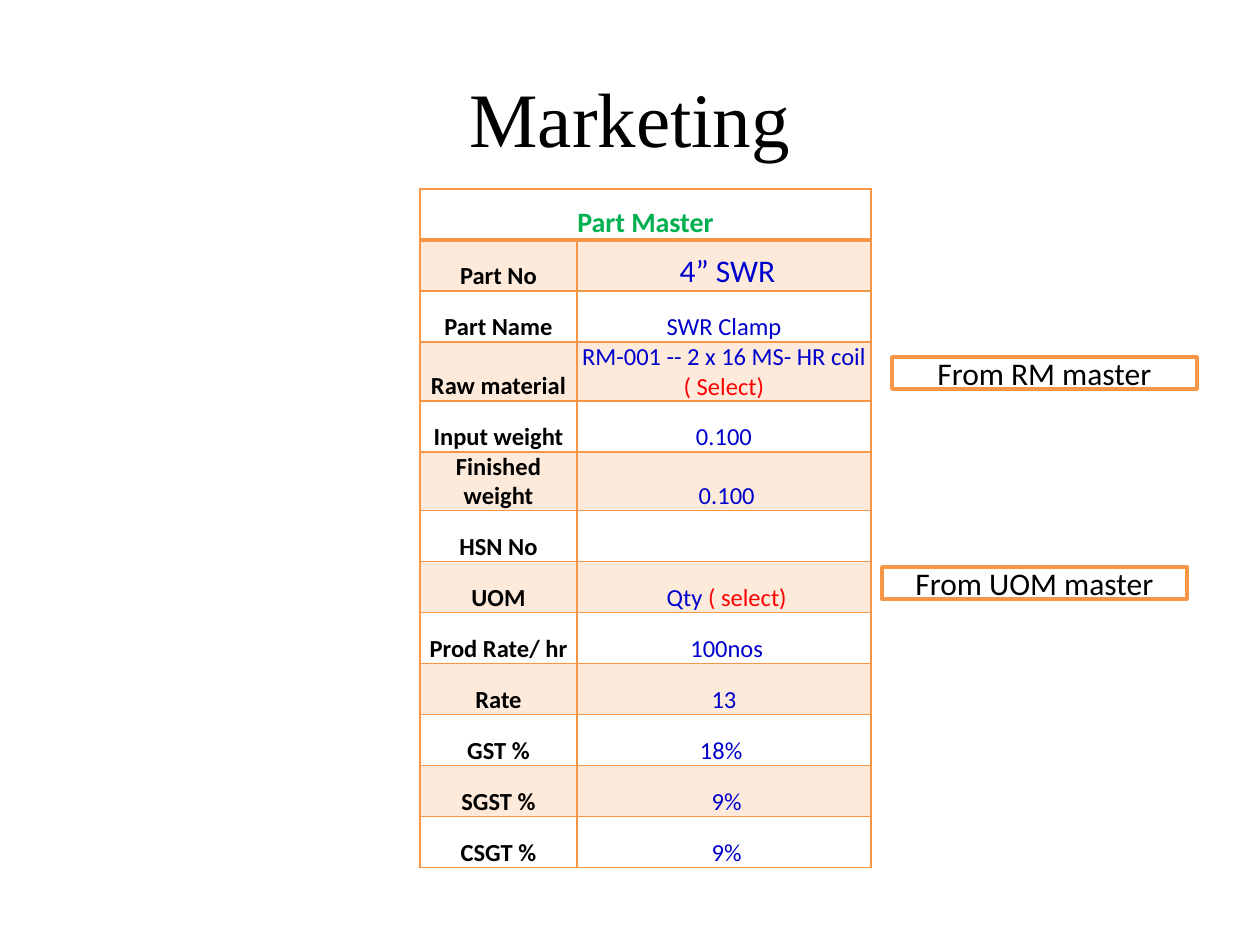
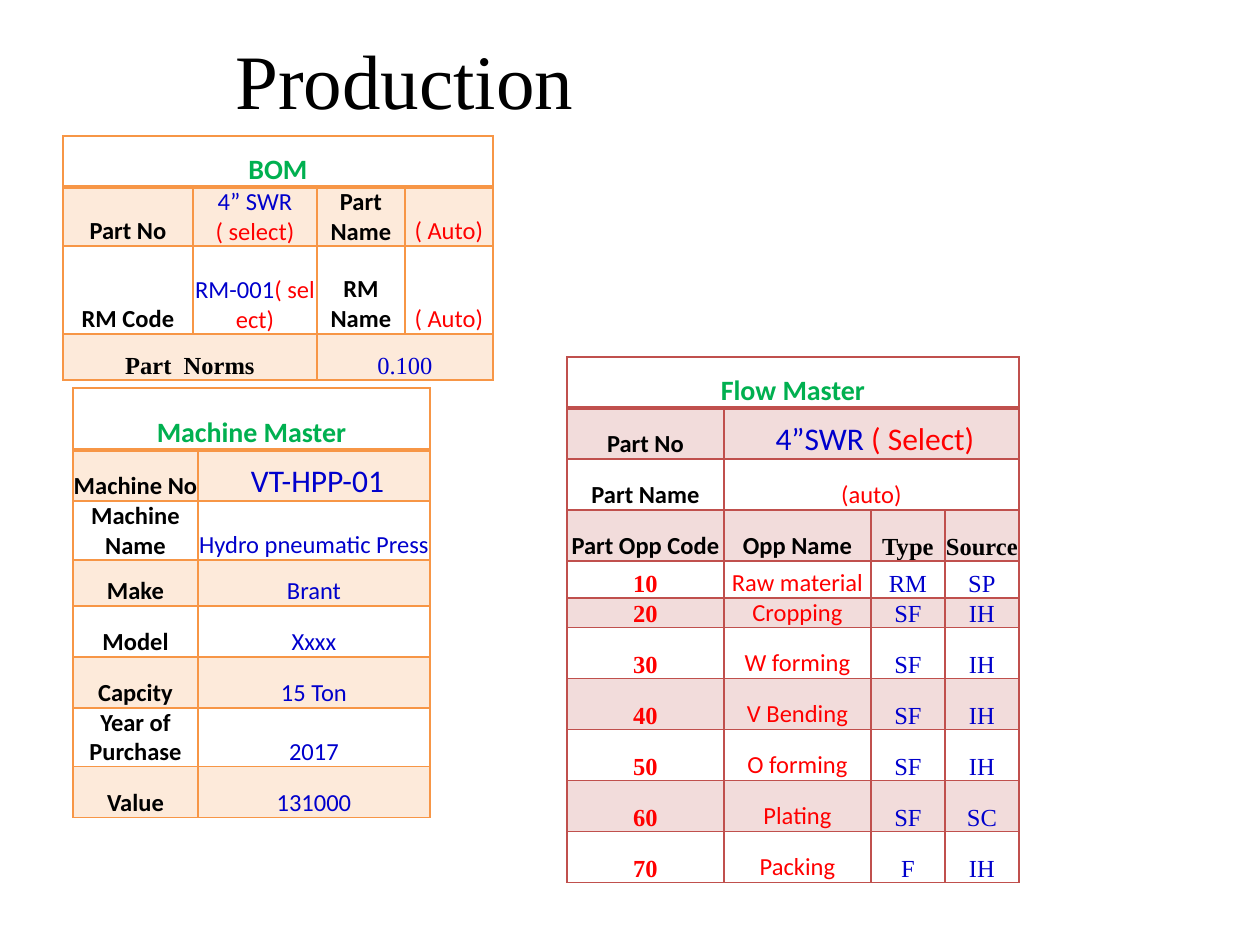
"""Builds the marketing and production master-data slides."""
from dataclasses import dataclass

from lxml import etree
from pptx import Presentation
from pptx.dml.color import RGBColor
from pptx.enum.shapes import MSO_SHAPE
from pptx.enum.text import MSO_ANCHOR, PP_ALIGN
from pptx.oxml.ns import qn
from pptx.util import Emu, Pt

CENTER = PP_ALIGN.CENTER
MIDDLE = MSO_ANCHOR.MIDDLE
BOTTOM = MSO_ANCHOR.BOTTOM
RECT = MSO_SHAPE.RECTANGLE

PX_PER_INCH = 126
ROW = 51
SHORT_ROW = 46


@dataclass(frozen=True)
class Style:
    """Look of one run of text."""
    size: int
    color: str
    bold: bool = False
    font: str = "Calibri"


@dataclass(frozen=True)
class Palette:
    """Border and band colours of a table."""
    line: str
    band: str


class Theme:
    """Colours and type sizes of the deck."""
    black, white, blue, red, green = "000000", "FFFFFF", "0000CC", "FF0000", "00B050"
    serif = "Times New Roman"
    orange = Palette("F79646", "FDEADA")
    maroon = Palette("C0504D", "F2DCDB")
    title = Style(44, black, font=serif)
    callout = Style(18, black)
    header = Style(16, green, True)
    label = Style(14, black, True)
    value = Style(14, blue)
    pick = Style(14, red)
    big_value = Style(18, blue)
    big_pick = Style(18, red)
    serif_label = Style(14, black, True, serif)
    serif_value = Style(14, blue, font=serif)
    step = Style(14, red, True, serif)


def px(n):
    """Turn pixels into EMU."""
    return Emu(round(n * 914400 / PX_PER_INCH))


def rgb(color):
    """Turn a hex string into a colour."""
    return RGBColor.from_string(color)


def write(tf, runs, anchor):
    """Write centred runs, given as (text, style), into a text frame."""
    tf.word_wrap = True
    tf.vertical_anchor = anchor
    p = tf.paragraphs[0]
    p.alignment = CENTER
    for text, style in runs:
        r = p.add_run()
        r.text = text
        r.font.name = style.font
        r.font.size = Pt(style.size)
        r.font.bold = style.bold
        r.font.color.rgb = rgb(style.color)


def add_title(s, text, x, y, w, h):
    """Add a slide title."""
    sp = s.shapes.add_textbox(px(x), px(y), px(w), px(h))
    write(sp.text_frame, [(text, Theme.title)], MIDDLE)


def add_callout(s, text, x, y):
    """Add an outlined note beside a table."""
    sp = s.shapes.add_shape(RECT, px(x), px(y), px(305), px(32))
    sp.shadow.inherit = False
    sp.fill.solid()
    sp.fill.fore_color.rgb = rgb(Theme.white)
    sp.line.color.rgb = rgb(Theme.orange.line)
    sp.line.width = Pt(2)
    write(sp.text_frame, [(text, Theme.callout)], MIDDLE)


def set_borders(cell, color, row):
    """Draw the four borders, with a heavy rule under the header row."""
    tc_pr = cell._tc.get_or_add_tcPr()
    heavy = {(0, "B"), (1, "T")}
    for side in "LRTB":
        width = Pt(2 if (row, side) in heavy else 1)
        ln = etree.SubElement(tc_pr, qn(f"a:ln{side}"), w=str(width))
        fill = etree.SubElement(ln, qn("a:solidFill"))
        etree.SubElement(fill, qn("a:srgbClr"), val=color)


def format_cell(cell, row, palette):
    """Set the margins, borders and band fill of a cell."""
    cell.margin_left = cell.margin_right = cell.margin_top = cell.margin_bottom = 0
    set_borders(cell, palette.line, row)
    if row % 2:
        cell.fill.solid()
        cell.fill.fore_color.rgb = rgb(palette.band)
    else:
        cell.fill.background()


def add_master(s, title, x, y, widths, heights, rows, palette=Theme.orange):
    """Add a titled table; a None cell extends the cell to its left."""
    header = [[(title, Theme.header)]] + [None] * (len(widths) - 1)
    rows = [header] + rows
    frame = s.shapes.add_table(len(rows), len(widths), px(x), px(y),
                               px(sum(widths)), px(sum(heights)))
    table = frame.table
    table.first_row = table.horz_banding = False
    for column, width in zip(table.columns, widths):
        column.width = px(width)
    for i, (cells, height) in enumerate(zip(rows, heights)):
        table.rows[i].height = px(height)
        for j, runs in enumerate(cells):
            cell = table.cell(i, j)
            format_cell(cell, i, palette)
            if runs is None:
                continue
            end = j
            while end + 1 < len(cells) and cells[end + 1] is None:
                end += 1
            if end > j:
                cell.merge(table.cell(i, end))
            write(cell.text_frame, runs, BOTTOM)
            cell.vertical_anchor = BOTTOM


def label(text):
    """Make a label cell."""
    return [(text, Theme.label)]


def value(text, choice=""):
    """Make a value cell, with an optional choice in red."""
    return [(t, st) for t, st in ((text, Theme.value), (choice, Theme.pick)) if t]


def big(text, choice=""):
    """Make a large value cell, with an optional choice in red."""
    pairs = (text, Theme.big_value), (choice, Theme.big_pick)
    return [(t, st) for t, st in pairs if t]


def add_part_master(s):
    """Add the part master table."""
    rows = [
        [label("Part No"), big(" 4” SWR")],
        [label("Part Name"), value("SWR Clamp")],
        [label("Raw material"), value("RM-001 -- 2 x 16 MS- HR coil ", "( Select)")],
        [label("Input weight"), value("0.100")],
        [label("Finished weight"), value(" 0.100")],
        [label("HSN No"), value("")],
        [label("UOM"), value(" Qty ", "( select)")],
        [label("Prod Rate/ hr"), value(" 100nos")],
        [label("Rate"), value("13")],
        [label("GST %"), value("18% ")],
        [label("SGST %"), value(" 9%")],
        [label("CSGT %"), value(" 9%")],
    ]
    heights = [ROW] * 3 + [SHORT_ROW] + [ROW] * 9
    add_master(s, "Part Master", 420, 189, [157, 294], heights, rows)


def add_machine_master(s):
    """Add the machine master table."""
    rows = [
        [label("Machine No"), big(" VT-HPP-01")],
        [label("Machine Name"), value("Hydro pneumatic Press")],
        [label("Make"), value("Brant")],
        [label("Model"), value("Xxxx")],
        [label("Capcity"), value("15 Ton")],
        [label("Year of Purchase"), value("2017")],
        [label("Value"), value("131000")],
    ]
    heights = [62, ROW, ROW, SHORT_ROW] + [ROW] * 4
    add_master(s, "Machine Master", 73, 388, [125, 232], heights, rows)


def add_bom(s):
    """Add the bill of materials table."""
    auto = value("", "( Auto)")
    rows = [
        [label("Part No"), value("4” SWR ", "( select)"), label("Part Name"), auto],
        [label("RM Code"), value(" RM-001", "( select)"), label("RM Name"), auto],
        [[("Part  Norms", Theme.serif_label)], None,
         [("0.100", Theme.serif_value)], None],
    ]
    heights = [ROW, ROW, 24, SHORT_ROW]
    add_master(s, "BOM", 63, 136, [130, 124, 88, 88], heights, rows)


def add_flow_master(s):
    """Add the flow master table with its numbered operations."""
    operations = [
        ("Raw material", "RM", "SP"), ("Cropping", "SF", "IH"),
        ("W forming", "SF", "IH"), ("V Bending", "SF", "IH"),
        ("O forming", "SF", "IH"), ("Plating", "SF", "SC"),
        ("Packing", "F", "IH"),
    ]
    rows = [
        [label("Part No"), big(" 4”SWR ", "( Select)"), None, None],
        [label("Part Name"), value("", "(auto)"), None, None],
        [label("Part Opp Code"), label("Opp Name"),
         [("Type", Theme.serif_label)], [("Source", Theme.serif_label)]],
    ]
    for n, (name, kind, source) in enumerate(operations, 1):
        rows.append([[(str(n * 10), Theme.step)], value("", name),
                     [(kind, Theme.serif_value)], [(source, Theme.serif_value)]])
    heights = [ROW] * 4 + [37, 25] + [ROW] * 5
    add_master(s, "Flow Master", 567, 357, [157, 147, 74, 74], heights, rows,
               Theme.maroon)


def main():
    """Build both slides and save the deck."""
    prs = Presentation()
    prs.slide_width, prs.slide_height = px(1260), px(945)
    blank = prs.slide_layouts[6]

    s = prs.slides.add_slide(blank)
    add_title(s, "Marketing", 63, 38, 1134, 157)
    add_part_master(s)
    add_callout(s, "From RM master", 892, 357)
    add_callout(s, "From UOM master", 882, 567)

    s = prs.slides.add_slide(blank)
    add_title(s, "Production", 126, 0, 557, 157)
    add_machine_master(s)
    add_bom(s)
    add_flow_master(s)

    prs.save("out.pptx")


if __name__ == "__main__":
    main()
